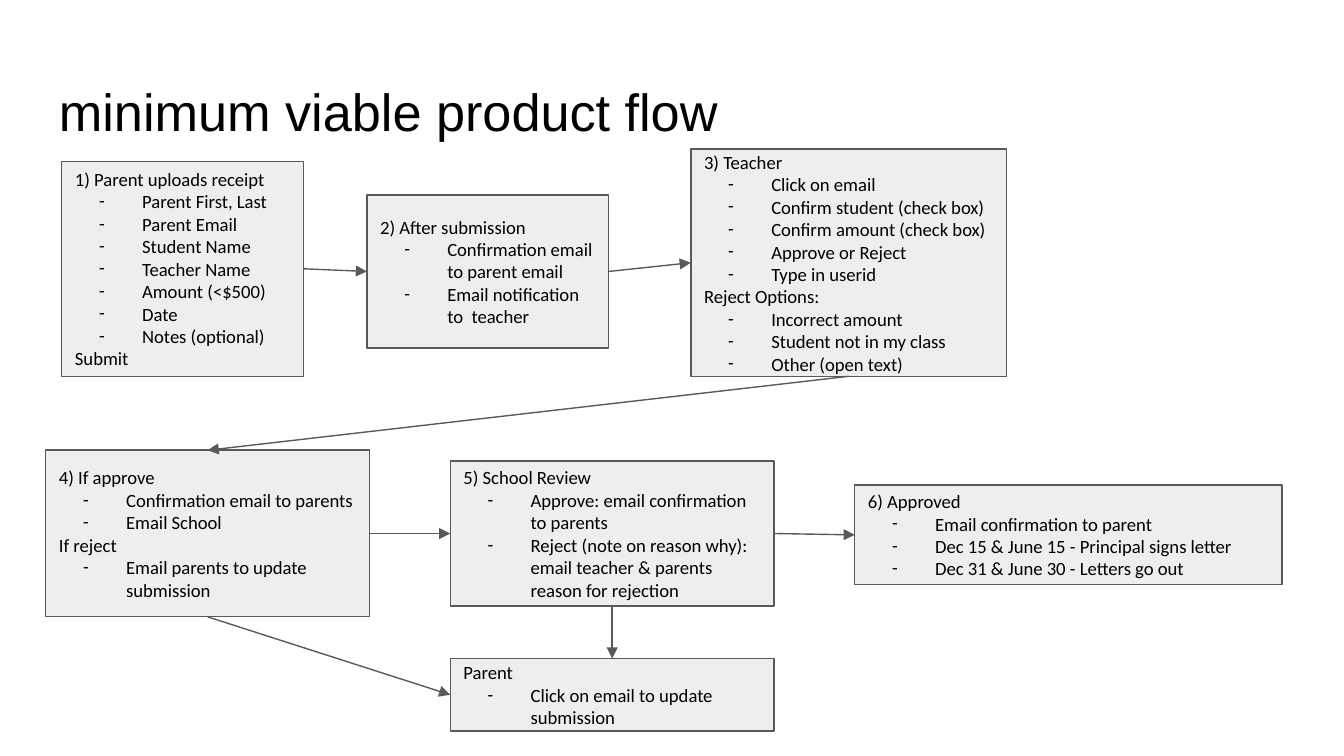
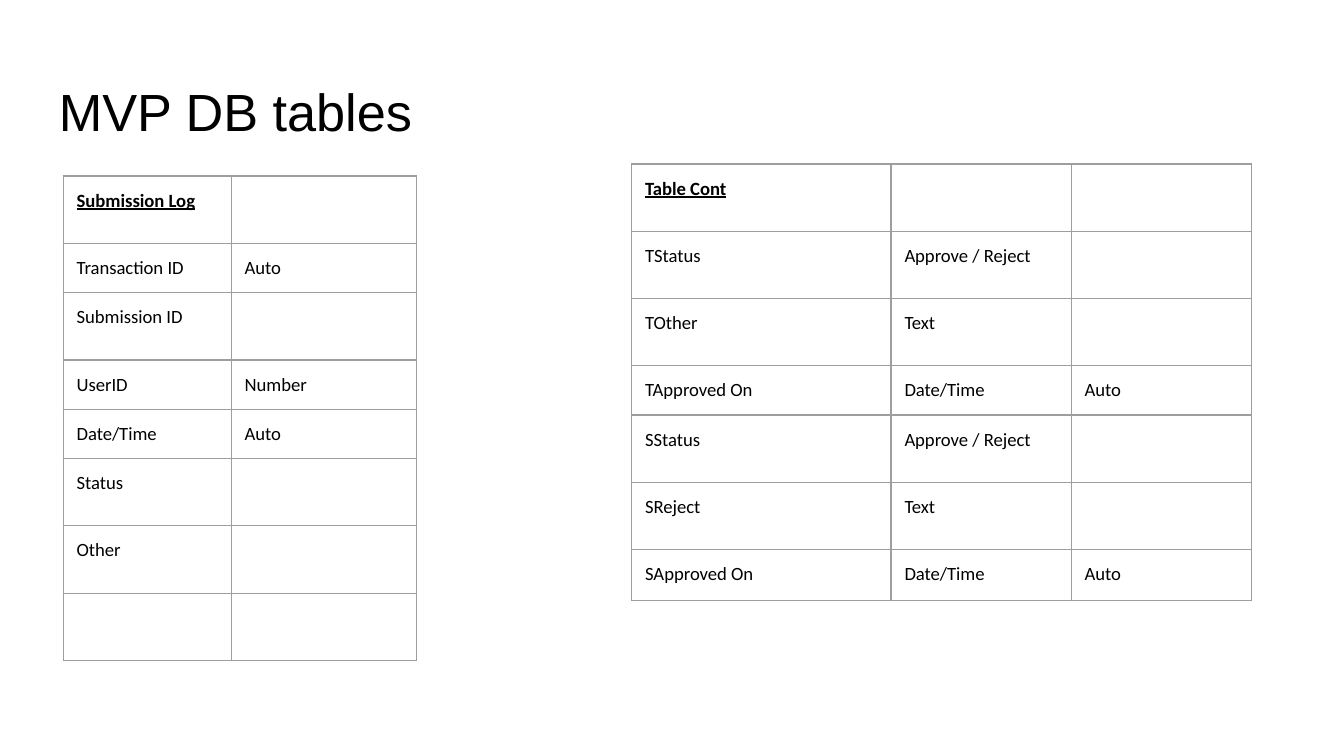
from lxml.etree import SubElement
from pptx import Presentation
from pptx.dml.color import RGBColor as Rgb
from pptx.enum.shapes import MSO_CONNECTOR as Connector, MSO_SHAPE as Preset
from pptx.enum.text import MSO_ANCHOR as Anchor, PP_ALIGN as Align
from pptx.oxml.ns import qn
from pptx.util import Inches, Pt

COLORS = {"text": "000000", "box": "EEEEEE", "outline": "595959", "rule": "9E9E9E"}
TITLE_FONT = {"name": "Arial", "size": Pt(28)}
BODY_FONT = {"name": "Calibri", "size": Pt(10)}
HEADER_FONT = {**BODY_FONT, "bold": True, "underline": True}
INSET = Inches(0.1)
CELL_MARGINS = {f"margin_{side}": INSET for side in ("left", "top", "right", "bottom")}
FRAME = {**CELL_MARGINS, "word_wrap": True}
LINE_WIDTH = Pt(0.75)
TOP, LEFT, BOTTOM, RIGHT = range(4)


def assign(target, values):
    for key, value in values.items():
        setattr(target, key, value)


def add_xml(parent, tag, **attributes):
    return SubElement(parent, qn(tag), attributes)


class Deck:
    """Style and current slide; lengths are cells of a grid, 100 columns wide."""

    def __init__(self):
        self.file = Presentation()
        self.file.slide_width, self.file.slide_height = Inches(10), Inches(5.625)
        self.unit = self.file.slide_width / 100
        self.slide = None

    def grid(self, *cells):
        return [round(cell * self.unit) for cell in cells]

    def add_text(self, paragraph, text, font):
        run = paragraph.add_run()
        run.text = text
        assign(run.font, font)
        run.font.color.rgb = Rgb.from_string(COLORS["text"])

    def new_slide(self, title):
        self.slide = self.file.slides.add_slide(self.file.slide_layouts[6])
        heading = self.slide.shapes.add_textbox(*self.grid(3.4, 4.9, 93.2, 6.3))
        assign(heading.text_frame, FRAME)
        self.add_text(heading.text_frame.paragraphs[0], title, TITLE_FONT)

    def dash(self, paragraph):
        properties = paragraph._p.get_or_add_pPr()
        properties.set("marL", str(Inches(0.5)))
        properties.set("indent", str(Inches(-0.32)))
        color = add_xml(properties, "a:buClr")
        add_xml(color, "a:srgbClr", val=COLORS["text"])
        add_xml(properties, "a:buFont", typeface=BODY_FONT["name"])
        add_xml(properties, "a:buChar", char="-")

    def outline(self, line):
        line.color.rgb = Rgb.from_string(COLORS["outline"])
        line.width = LINE_WIDTH

    def box(self, place, lines):
        step = self.slide.shapes.add_shape(Preset.RECTANGLE, *self.grid(*place))
        step.shadow.inherit = False
        step.fill.solid()
        step.fill.fore_color.rgb = Rgb.from_string(COLORS["box"])
        self.outline(step.line)
        frame = step.text_frame
        assign(frame, {**FRAME, "vertical_anchor": Anchor.MIDDLE})
        for index, line in enumerate(lines):
            paragraph = frame.add_paragraph() if index else frame.paragraphs[0]
            paragraph.alignment = Align.LEFT
            if line.startswith("- "):
                self.dash(paragraph)
            self.add_text(paragraph, line.removeprefix("- "), BODY_FONT)
        return step

    def arrow(self, source, source_side, target, target_side):
        link = self.slide.shapes.add_connector(Connector.STRAIGHT, 0, 0, 0, 0)
        link.begin_connect(source, source_side)
        link.end_connect(target, target_side)
        self.outline(link.line)
        properties = link._element.spPr
        add_xml(properties.find(qn("a:ln")), "a:tailEnd", type="triangle")
        add_xml(properties, "a:effectLst")

    def border(self, cell):
        properties = cell._tc.get_or_add_tcPr()
        for side in "LRTB":
            edge = add_xml(properties, f"a:ln{side}", w=str(LINE_WIDTH))
            add_xml(add_xml(edge, "a:solidFill"), "a:srgbClr", val=COLORS["rule"])

    def table(self, left, top, widths, heights, rows):
        place = self.grid(left, top, sum(widths), sum(heights))
        table = self.slide.shapes.add_table(len(rows), len(widths), *place).table
        assign(table, {"first_row": False, "horz_banding": False})
        for column, width in zip(table.columns, self.grid(*widths)):
            column.width = width
        for row, height in zip(table.rows, self.grid(*heights)):
            row.height = height
        for r, texts in enumerate(rows):
            for c in range(len(widths)):
                cell = table.cell(r, c)
                assign(cell, CELL_MARGINS)
                self.border(cell)
                cell.fill.background()
                paragraph = cell.text_frame.paragraphs[0]
                if c < len(texts):
                    self.add_text(paragraph, texts[c], BODY_FONT if r else HEADER_FONT)
                else:  # an empty cell keeps a taller line
                    end = add_xml(paragraph._p, "a:endParaRPr", sz="1800")
                    add_xml(end, "a:latin", typeface=TITLE_FONT["name"])


# Flow steps: place on the grid, then lines of text
STEPS = {
    "upload": ((4.6, 12, 18, 16), [
        "1) Parent uploads receipt", "- Parent First, Last", "- Parent Email",
        "- Student Name", "- Teacher Name", "- Amount (<$500)", "- Date",
        "- Notes (optional)", "Submit"]),
    "submission": ((27.3, 14.5, 18, 11.4), [
        "2) After submission", "- Confirmation email to parent email",
        "- Email notification to  teacher"]),
    "teacher": ((51.4, 11.1, 23.5, 16.9), [
        "3) Teacher", "- Click on email", "- Confirm student (check box)",
        "- Confirm amount (check box)", "- Approve or Reject", "- Type in userid",
        "Reject Options:", "- Incorrect amount", "- Student not in my class",
        "- Other (open text)"]),
    "decision": ((3.4, 33.5, 24.1, 12.4), [
        "4) If approve", "- Confirmation email to parents", "- Email School",
        "If reject", "- Email parents to update submission"]),
    "parent": ((33.5, 49, 24.1, 5.4), [
        "Parent", "- Click on email to update submission"]),
    "approved": ((63.6, 36.1, 31.8, 7.4), [
        "6) Approved", "- Email confirmation to parent",
        "- Dec 15 & June 15 - Principal signs letter",
        "- Dec 31 & June 30 - Letters go out"]),
    "review": ((33.5, 34.3, 24.1, 10.8), [
        "5) School Review", "- Approve: email confirmation to parents",
        "- Reject (note on reason why): email teacher & parents reason for rejection"]),
}
ARROWS = [
    ("upload", RIGHT, "submission", LEFT),
    ("submission", RIGHT, "teacher", LEFT),
    ("decision", RIGHT, "review", LEFT),
    ("decision", BOTTOM, "parent", LEFT),
    ("review", RIGHT, "approved", LEFT),
    ("review", BOTTOM, "parent", TOP),
    ("teacher", BOTTOM, "decision", TOP),
]

# Database fields; cells missing at the end of a row stay empty
SUBMISSION_LOG = [
    ["Submission Log"], ["Transaction ID", "Auto"], ["Submission ID"],
    ["UserID", "Number"], ["Date/Time", "Auto"], ["Status"], ["Other"], []]
TABLE_CONT = [
    ["Table Cont"], ["TStatus", "Approve / Reject"], ["TOther", "Text"],
    ["TApproved On", "Date/Time", "Auto"], ["SStatus", "Approve / Reject"],
    ["SReject", "Text"], ["SApproved On", "Date/Time", "Auto"]]


def main():
    deck = Deck()

    # Product flow
    deck.new_slide("minimum viable product flow")
    steps = {key: deck.box(place, lines) for key, (place, lines) in STEPS.items()}
    for source, source_side, target, target_side in ARROWS:
        deck.arrow(steps[source], source_side, steps[target], target_side)

    # Database tables
    deck.new_slide("MVP DB tables")
    deck.table(4.7, 13.1, [12.5, 13.8], [3.3] * 8, SUBMISSION_LOG)
    deck.table(47, 12.2, [19.3, 13.4, 13.4], [3.2] * 6 + [3.8], TABLE_CONT)

    deck.file.save("out.pptx")


if __name__ == "__main__":
    main()
